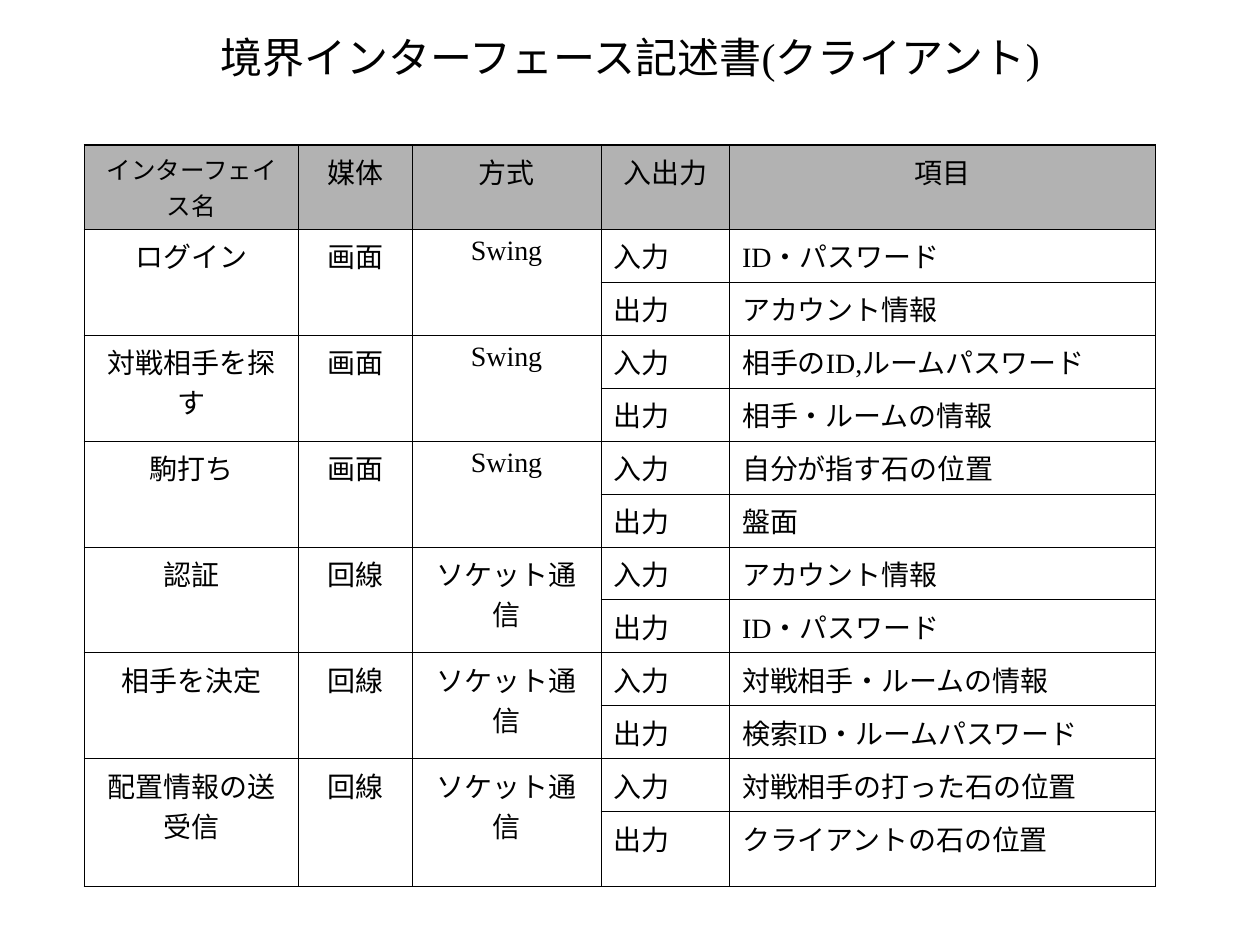
"""Build the client boundary interface slide with its merged table."""
from lxml.etree import SubElement
from pptx import Presentation
from pptx.dml.color import RGBColor
from pptx.enum.text import MSO_ANCHOR as Anchor, PP_ALIGN as Align
from pptx.oxml.ns import qn
from pptx.util import Inches, Pt

TITLE = "境界インターフェース記述書(クライアント)"
HEADS = ["インターフェイス名", "媒体", "方式", "入出力", "項目"]
ITEMS = [
    ("ログイン", "画面", "Swing", "ID・パスワード", "アカウント情報"),
    ("対戦相手を探す", "画面", "Swing", "相手のID,ルームパスワード", "相手・ルームの情報"),
    ("駒打ち", "画面", "Swing", "自分が指す石の位置", "盤面"),
    ("認証", "回線", "ソケット通信", "アカウント情報", "ID・パスワード"),
    ("相手を決定", "回線", "ソケット通信", "対戦相手・ルームの情報", "検索ID・ルームパスワード"),
    ("配置情報の送受信", "回線", "ソケット通信", "対戦相手の打った石の位置", "クライアントの石の位置"),
]
WIDTHS = [1.7, 0.9, 1.5, 1.02, 3.38]
HEIGHTS = [0.57] + [0.37] * (2 * len(ITEMS) - 1) + [0.59]
FONT = "Times New Roman"
BLACK = RGBColor(0, 0, 0)
GREY = RGBColor(0xB2, 0xB2, 0xB2)
THIN, THICK = Pt(0.45), Pt(1.08)


def write(frame, text, size, align):
    frame.text = text
    par = frame.paragraphs[0]
    par.alignment = align
    par.font.name = FONT
    par.font.size = Pt(size)
    par.font.color.rgb = BLACK
    return par


def fill_cell(cell, text, size=16, align=Align.CENTER):
    par = write(cell.text_frame, text, size, align)
    par.space_before = Pt(size / 4)


def draw_edges(cell, row, col):
    sides = {
        "L": col == 0,
        "R": col == len(WIDTHS) - 1,
        "T": row == 0,
        "B": False,
    }
    props = cell._tc.get_or_add_tcPr()
    for side, outer in sides.items():
        line = SubElement(props, qn(f"a:ln{side}"), w=str(THICK if outer else THIN))
        paint = SubElement(line, qn("a:solidFill"))
        SubElement(paint, qn("a:srgbClr"), val=str(BLACK))


def add_title(slide):
    title = slide.shapes.title
    title.left, title.top = Inches(0.75), Inches(0.21)
    title.width, title.height = Inches(8.5), Inches(0.48)
    title.text_frame.vertical_anchor = Anchor.MIDDLE
    write(title.text_frame, TITLE, 24, Align.CENTER)


def add_grid(slide):
    frame = slide.shapes.add_table(
        len(HEIGHTS), len(WIDTHS), Inches(0.67), Inches(1.15),
        Inches(sum(WIDTHS)), Inches(sum(HEIGHTS)))
    table = frame.table
    table.first_row = table.horz_banding = False
    for col, width in zip(table.columns, WIDTHS):
        col.width = Inches(width)
    for row, height in zip(table.rows, HEIGHTS):
        row.height = Inches(height)

    for r in range(len(HEIGHTS)):
        for c in range(len(WIDTHS)):
            cell = table.cell(r, c)
            draw_edges(cell, r, c)
            if r == 0:
                cell.fill.solid()
                cell.fill.fore_color.rgb = GREY
            else:
                cell.fill.background()

    for c, head in enumerate(HEADS):
        fill_cell(table.cell(0, c), head, 16 if c else 14)
    for i, (*group, source, result) in enumerate(ITEMS):
        top = 1 + 2 * i
        for c, text in enumerate(group):
            table.cell(top, c).merge(table.cell(top + 1, c))
            fill_cell(table.cell(top, c), text)
        for r, pair in enumerate([("入力", source), ("出力", result)], top):
            for c, text in enumerate(pair, len(group)):
                fill_cell(table.cell(r, c), text, align=Align.LEFT)


def main():
    deck = Presentation()
    deck.slide_width, deck.slide_height = Inches(10), Inches(7.5)
    slide = deck.slides.add_slide(deck.slide_layouts[5])
    add_title(slide)
    add_grid(slide)
    deck.save("out.pptx")


if __name__ == "__main__":
    main()
